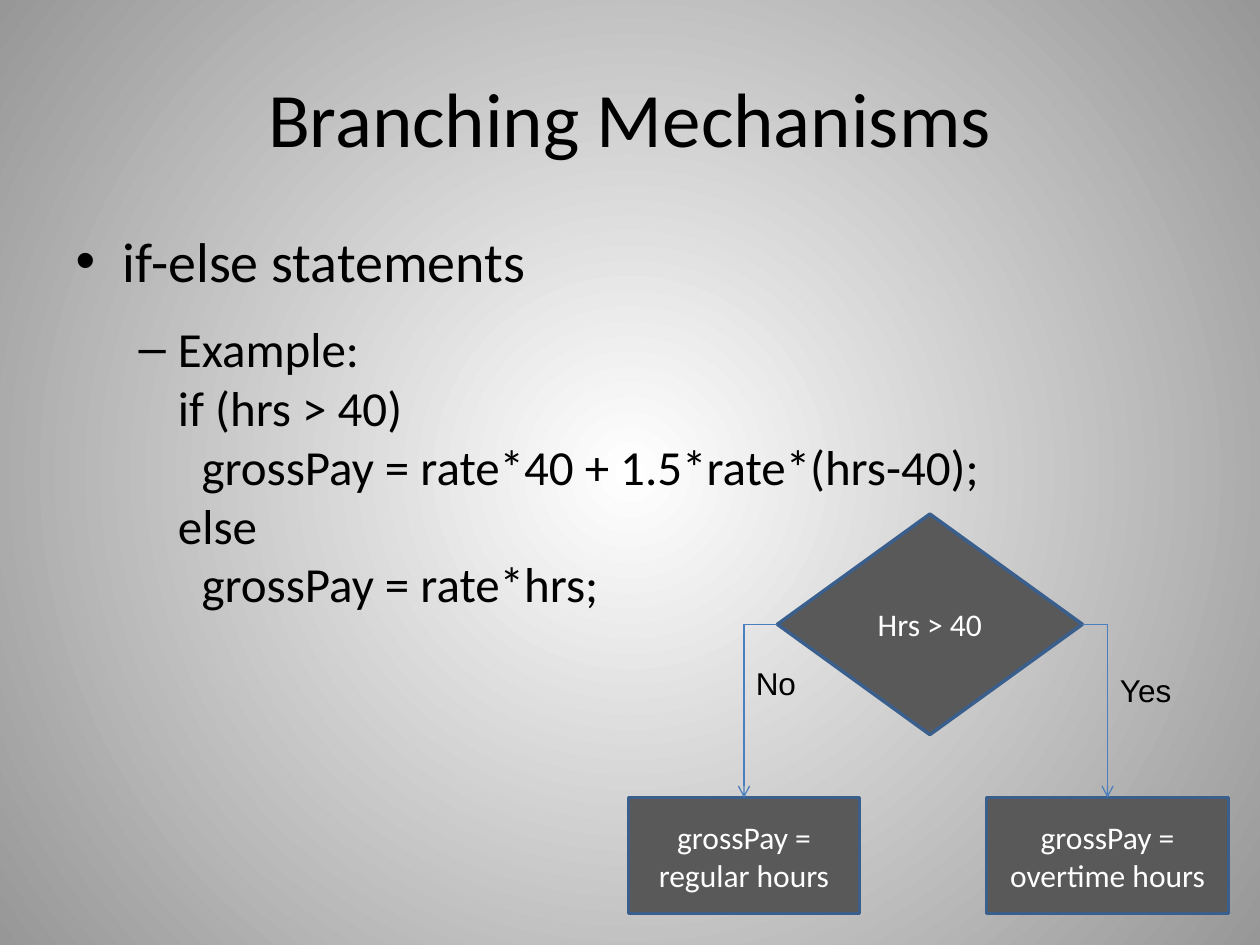
"""Build the Branching Mechanisms slide with its if-else flowchart."""
import lxml.etree
import pptx
import pptx.dml.color
import pptx.enum.shapes
import pptx.enum.text
import pptx.oxml
import pptx.oxml.ns
import pptx.util

Inches = pptx.util.Inches
Pt = pptx.util.Pt
qn = pptx.oxml.ns.qn
RGBColor = pptx.dml.color.RGBColor
ALIGN = pptx.enum.text.PP_ALIGN
ANCHOR = pptx.enum.text.MSO_ANCHOR
SHAPE = pptx.enum.shapes.MSO_SHAPE

COLORS = {
    "text": "000000",
    "light": "FFFFFF",
    "edge": "979797",
    "box": "595959",
    "outline": "3A5F8C",
    "arrow": "4B7EBC",
}


def write(paragraph, text, size=18, font="Calibri", color="text", align=None, level=0, before=None):
    paragraph.text = text
    paragraph.level = level
    paragraph.alignment = align
    if before is not None:
        paragraph.space_before = Pt(before)
    for run in paragraph.runs:
        run.font.size = Pt(size)
        run.font.name = font
        run.font.color.rgb = RGBColor.from_string(COLORS[color])


presentation = pptx.Presentation()
presentation.slide_width = Inches(10)
presentation.slide_height = Inches(7.5)
slide = presentation.slides.add_slide(presentation.slide_layouts[1])
shapes = slide.shapes

background = slide.background.fill
background.gradient()
for stop, name in zip(background.gradient_stops, ("light", "edge")):
    stop.color.rgb = RGBColor.from_string(COLORS[name])
gradient = slide.element.find(".//" + qn("a:gradFill"))
gradient.remove(gradient.find(qn("a:lin")))
circle = lxml.etree.SubElement(gradient, qn("a:path"), {"path": "circle"})
center = {side: "50000" for side in "ltrb"}
lxml.etree.SubElement(circle, qn("a:fillToRect"), center)

title = shapes.title
title.left, title.top, title.width, title.height = map(Inches, (0.5, 0.3, 9, 1.25))
title.text_frame.vertical_anchor = ANCHOR.MIDDLE
write(title.text_frame.paragraphs[0], "Branching Mechanisms", size=44, align=ALIGN.CENTER)

body = slide.placeholders[1]
body.left, body.top, body.width, body.height = map(Inches, (0.5, 1.75, 9, 4.95))
write(body.text_frame.paragraphs[0], "if-else statements", size=32)
example = (
    "Example:\nif (hrs > 40)\n\tgrossPay = rate*40 + 1.5*rate*(hrs-40);\n"
    "else\n\tgrossPay = rate*hrs;"
)
write(body.text_frame.add_paragraph(), example, size=28, level=1, before=14)

flowchart = {}
for name, kind, text, box in (
    ("decision", SHAPE.FLOWCHART_DECISION, "Hrs > 40", (6.17, 4.08, 2.42, 1.75)),
    ("overtime", SHAPE.FLOWCHART_PROCESS, "grossPay = overtime hours", (7.83, 6.33, 1.92, 0.92)),
    ("regular", SHAPE.FLOWCHART_PROCESS, "grossPay = regular hours", (4.99, 6.33, 1.83, 0.92)),
):
    shape = shapes.add_shape(kind, *map(Inches, box))
    shape.shadow.inherit = False
    shape.fill.solid()
    shape.fill.fore_color.rgb = RGBColor.from_string(COLORS["box"])
    shape.line.color.rgb = RGBColor.from_string(COLORS["outline"])
    shape.line.width = Pt(2)
    shape.text_frame.word_wrap = True
    shape.text_frame.vertical_anchor = ANCHOR.MIDDLE
    write(shape.text_frame.paragraphs[0], text, color="light", align=ALIGN.CENTER)
    flowchart[name] = shape

LEFT_SITE, RIGHT_SITE, TOP_SITE = 1, 3, 0
for site, target in ((LEFT_SITE, "regular"), (RIGHT_SITE, "overtime")):
    connector = shapes.add_connector(pptx.enum.shapes.MSO_CONNECTOR.ELBOW, 0, 0, 0, 0)
    connector.begin_connect(flowchart["decision"], site)
    connector.end_connect(flowchart[target], TOP_SITE)
    connector.line.color.rgb = RGBColor.from_string(COLORS["arrow"])
    connector.line.width = Pt(0.75)
    properties = connector.element.spPr
    properties.find(qn("a:prstGeom")).set("prst", "bentConnector2")
    lxml.etree.SubElement(properties.find(qn("a:ln")), qn("a:tailEnd"), {"type": "arrow"})
    lxml.etree.SubElement(properties, qn("a:effectLst"))

for text, box in (("Yes", (8.79, 5.28, 0.71, 0.4)), ("No", (5.9, 5.22, 1.17, 0.4))):
    label = shapes.add_textbox(*map(Inches, box))
    label.text_frame.word_wrap = True
    label.text_frame.auto_size = pptx.enum.text.MSO_AUTO_SIZE.SHAPE_TO_FIT_TEXT
    write(label.text_frame.paragraphs[0], text, font="Arial")

presentation.save("out.pptx")
